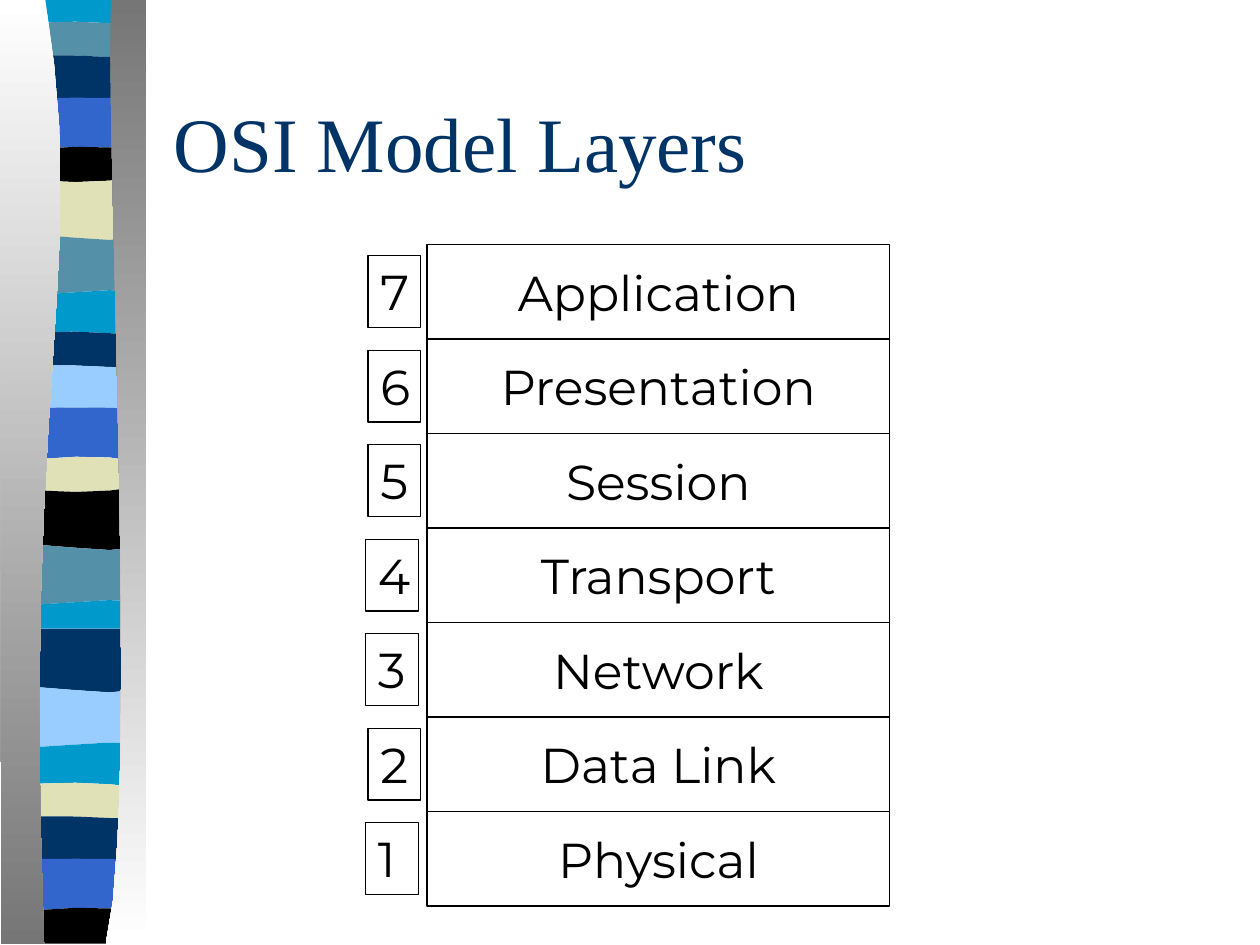
from dataclasses import dataclass

from pptx import Presentation
from pptx.dml.color import RGBColor
from pptx.enum.shapes import MSO_SHAPE
from pptx.enum.text import MSO_ANCHOR, MSO_AUTO_SIZE, PP_ALIGN
from pptx.shapes.autoshape import Shape
from pptx.slide import Slide
from pptx.util import Emu, Pt

PX = 9144  # EMU per px, 100 px to the inch
PAGE_WIDTH, PAGE_HEIGHT = 1000, 750
RECTANGLE = MSO_SHAPE.RECTANGLE
MIDDLE, TOP = MSO_ANCHOR.MIDDLE, MSO_ANCHOR.TOP
LEFT, CENTER = PP_ALIGN.LEFT, PP_ALIGN.CENTER
FIT_SHAPE, FIXED = MSO_AUTO_SIZE.SHAPE_TO_FIT_TEXT, MSO_AUTO_SIZE.NONE

Point = tuple[float, float]


@dataclass(frozen=True)
class Theme:
    cyan: str = "0099CC"
    teal: str = "5490A8"
    navy: str = "003366"
    blue: str = "3366CC"
    sky: str = "99CCFF"
    sand: str = "E1E1B7"
    black: str = "000000"
    white: str = "FFFFFF"
    gray: str = "767676"
    title_font: str = "Times New Roman"
    body_font: str = "Montserrat"
    title_size: int = 44
    body_size: int = 28
    line_width: float = 0.75


THEME = Theme()


@dataclass(frozen=True)
class Box:
    left: int
    top: int
    width: int
    height: int

    def emu(self) -> list[Emu]:
        return [Emu(v * PX) for v in (self.left, self.top, self.width, self.height)]


@dataclass(frozen=True)
class Label:
    text: str
    font: str
    size: int
    color: str
    align: PP_ALIGN = LEFT
    anchor: MSO_ANCHOR = MIDDLE
    wrap: bool = False
    fit: MSO_AUTO_SIZE = FIXED


@dataclass(frozen=True)
class Band:
    """A ribbon stripe: the wave of its top edge, moved down by offset."""
    color: str
    wave: str
    offset: int


@dataclass(frozen=True)
class Drape:
    """A gradient panel with one curved side, closed by two corners."""
    curve: tuple[Point, Point, Point, Point]
    corners: tuple[Point, Point]
    top_color: str
    bottom_color: str


@dataclass(frozen=True)
class Layer:
    name: str
    number: int
    number_left: int


RIBBON_LEFT, RIBBON_RIGHT = 6, 114
BAND_STEPS, DRAPE_STEPS = 4, 12
# Heights of four evenly spaced Bezier control points
WAVES = {
    "flat": (0, 0, 0, 0),
    "crest": (21, 15, 17, 21),
    "swell": (46, 41, 46, 46),
    "ripple": (77, 79, 76, 79),
    "arch": (121, 117, 113, 121),
    "dip": (140, 146, 146, 140),
    "roll": (188, 182, 196, 188),
    "curl": (232, 238, 226, 232),
}
BANDS = [
    Band(THEME.cyan, "flat", 0),
    Band(THEME.teal, "crest", 0),
    Band(THEME.navy, "swell", 0),
    Band(THEME.blue, "ripple", 0),
    Band(THEME.black, "arch", 0),
    Band(THEME.sand, "dip", 0),
    Band(THEME.teal, "roll", 0),
    Band(THEME.cyan, "curl", 0),
    Band(THEME.navy, "crest", 246),
    Band(THEME.sky, "swell", 246),
    Band(THEME.blue, "ripple", 246),
    Band(THEME.sand, "arch", 246),
    Band(THEME.black, "dip", 246),
    Band(THEME.teal, "roll", 246),
    Band(THEME.cyan, "curl", 246),
    Band(THEME.navy, "flat", 499),
    Band(THEME.sky, "roll", 359),
    Band(THEME.cyan, "curl", 359),
    Band(THEME.sand, "crest", 604),
    Band(THEME.navy, "swell", 604),
    Band(THEME.blue, "ripple", 604),
    Band(THEME.black, "arch", 604),
]
RIBBON_END = Band(THEME.black, "flat", 749)
DRAPES = [
    Drape(((36, 0), (71, 216), (17, 296), (35, 749)), ((1, 749), (0, 0)),
          THEME.white, THEME.gray),
    Drape(((88, 0), (84, 125), (111, 646), (84, 749)), ((116, 749), (116, 0)),
          THEME.gray, THEME.white),
]
LAYERS = [
    Layer("Application", 7, 292),
    Layer("Presentation", 6, 292),
    Layer("Session", 5, 292),
    Layer("Transport", 4, 290),
    Layer("Network", 3, 290),
    Layer("Data Link", 2, 292),
    Layer("Physical", 1, 290),
]
LAYER_TOP, LAYER_HEIGHT = 194, 75
NUMBER_INSET = 9


def rgb(color: str) -> RGBColor:
    return RGBColor.from_string(color)


def bezier(controls: tuple[Point, ...], steps: int) -> list[Point]:
    """Sample a cubic curve from its four control points."""
    points = []
    for step in range(steps + 1):
        t = step / steps
        weights = ((1 - t) ** 3, 3 * t * (1 - t) ** 2, 3 * t * t * (1 - t), t ** 3)
        points.append(tuple(sum(w * point[axis] for w, point in zip(weights, controls))
                            for axis in (0, 1)))
    return points


def band_edge(band: Band) -> list[Point]:
    if band.wave == "flat":
        return [(RIBBON_LEFT, band.offset), (RIBBON_RIGHT, band.offset)]
    gap = (RIBBON_RIGHT - RIBBON_LEFT) / 3
    return bezier(tuple((RIBBON_LEFT + i * gap, band.offset + y)
                        for i, y in enumerate(WAVES[band.wave])), BAND_STEPS)


def add_outline(page: Slide, points: list[Point]) -> Shape:
    """Add a closed, unlined freeform through the points."""
    start, *rest = [(round(x * PX), round(y * PX)) for x, y in points]
    builder = page.shapes.build_freeform(*start)
    builder.add_line_segments(rest, close=True)
    shape = builder.convert_to_shape()
    shape.shadow.inherit = False
    shape.line.fill.background()
    return shape


def add_band(page: Slide, band: Band, below: Band) -> None:
    shape = add_outline(page, band_edge(band) + band_edge(below)[::-1])
    shape.fill.solid()
    shape.fill.fore_color.rgb = rgb(band.color)


def add_drape(page: Slide, drape: Drape) -> None:
    fill = add_outline(page, bezier(drape.curve, DRAPE_STEPS) + list(drape.corners)).fill
    fill.gradient()
    fill.gradient_angle = 270
    for stop, color in zip(fill.gradient_stops, (drape.top_color, drape.bottom_color)):
        stop.color.rgb = rgb(color)


def write_label(shape: Shape, label: Label) -> None:
    frame = shape.text_frame
    para = frame.paragraphs[0]
    span = para.add_run()
    span.text = label.text
    formats = [
        (frame, {"word_wrap": label.wrap, "auto_size": label.fit,
                 "vertical_anchor": label.anchor}),
        (para, {"alignment": label.align}),
        (span.font, {"name": label.font, "size": Pt(label.size)}),
        (span.font.color, {"rgb": rgb(label.color)}),
    ]
    for target, values in formats:
        for name, value in values.items():
            setattr(target, name, value)


def add_framed_box(page: Slide, box: Box, label: Label) -> None:
    shape = page.shapes.add_shape(RECTANGLE, *box.emu())
    shape.shadow.inherit = False
    shape.fill.solid()
    shape.fill.fore_color.rgb = rgb(THEME.white)
    shape.line.color.rgb = rgb(THEME.black)
    shape.line.width = Pt(THEME.line_width)
    write_label(shape, label)


def add_layer(page: Slide, layer: Layer, top: int) -> None:
    style = (THEME.body_font, THEME.body_size, THEME.black)
    add_framed_box(page, Box(339, top, 367, LAYER_HEIGHT),
                   Label(layer.name, *style, align=CENTER))
    add_framed_box(page, Box(layer.number_left, top + NUMBER_INSET, 42, 57),
                   Label(str(layer.number), *style, anchor=TOP, fit=FIT_SHAPE))


def main() -> None:
    deck = Presentation()
    deck.slide_width, deck.slide_height = Emu(PAGE_WIDTH * PX), Emu(PAGE_HEIGHT * PX)
    page = deck.slides.add_slide(deck.slide_layouts[6])
    for band, below in zip(BANDS, BANDS[1:] + [RIBBON_END]):
        add_band(page, band, below)
    for drape in DRAPES:
        add_drape(page, drape)
    title = page.shapes.add_textbox(*Box(128, 50, 850, 125).emu())
    write_label(title, Label("OSI Model Layers", THEME.title_font, THEME.title_size,
                             THEME.navy, wrap=True))
    for row, layer in enumerate(LAYERS):
        add_layer(page, layer, LAYER_TOP + row * LAYER_HEIGHT)
    deck.save("out.pptx")


if __name__ == "__main__":
    main()
